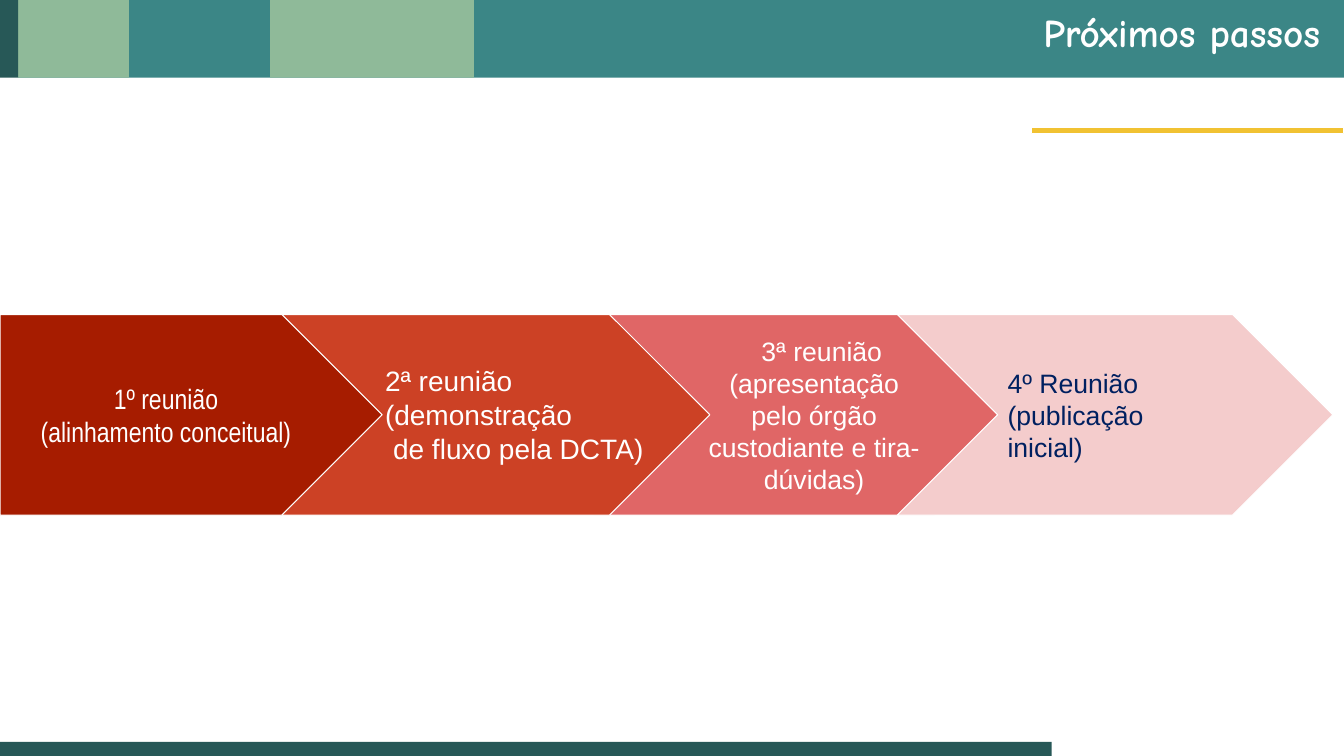
"""Builds the "Próximos passos" slide with a four-step meeting arrow."""
from pptx import Presentation
from pptx import util as u
from pptx.dml.color import RGBColor
from pptx.enum import shapes, text

COLORS = {
    "teal": "3B8686", "green": "8FBA99", "dark": "275857", "yellow": "F1C232",
    "step1": "A61C00", "step2": "CC4125", "step3": "E06666", "step4": "F4CCCC",
    "white": "FFFFFF", "navy": "002060",
}
SHAPE = shapes.MSO_SHAPE
ALIGN = text.PP_ALIGN
ANCHOR = text.MSO_ANCHOR
STEP_TOP, STEP_HEIGHT = 3.12, 1.99


class Deck:
    def __init__(self, width, height):
        self.prs = Presentation()
        self.prs.slide_width = u.Inches(width)
        self.prs.slide_height = u.Inches(height)
        self.s = self.prs.slides.add_slide(self.prs.slide_layouts[6])

    def color(self, name):
        return RGBColor.from_string(COLORS[name])

    def shape(self, kind, box, fill, outlined=False):
        sp = self.s.shapes.add_shape(kind, *map(u.Inches, box))
        sp.shadow.inherit = False
        sp.fill.solid()
        sp.fill.fore_color.rgb = self.color(fill)
        if outlined:
            sp.line.color.rgb = self.color("white")
            sp.line.width = u.Pt(0.75)
        else:
            sp.line.fill.background()
        return sp

    def step(self, kind, left, width, fill):
        sp = self.shape(kind, (left, STEP_TOP, width, STEP_HEIGHT), fill, True)
        sp.adjustments[0] = 0.5
        return sp

    def textbox(self, box):
        return self.s.shapes.add_textbox(*map(u.Inches, box))

    def label(self, sp, lines, size, font="Arial", color="white", align=ALIGN.LEFT,
              anchor=ANCHOR.MIDDLE, inset=0.1, bold=False, spacing=None, indents=()):
        tf = sp.text_frame
        tf.word_wrap = True
        tf.vertical_anchor = anchor
        tf.margin_left = tf.margin_right = u.Inches(0.1)
        tf.margin_top = tf.margin_bottom = u.Inches(inset)
        tf.text = "\n".join(lines)
        for p in tf.paragraphs:
            p.alignment = align
            p.line_spacing = spacing
            for r in p.runs:
                r.font.name = font
                r.font.size = u.Pt(size)
                r.font.bold = bold
                r.font.color.rgb = self.color(color)
        for p, (left, first) in zip(tf.paragraphs, indents):
            pPr = p._p.get_or_add_pPr()
            pPr.set("marL", str(u.Inches(left)))
            pPr.set("indent", str(u.Inches(first)))


def main():
    d = Deck(13.33, 7.5)

    for left, width, fill in [(0.18, 13.15, "teal"), (0.18, 1.1, "green"),
                              (0, 0.18, "dark"), (2.68, 2.02, "green")]:
        d.shape(SHAPE.RECTANGLE, (left, 0, width, 0.77), fill)
    d.shape(SHAPE.RECTANGLE, (0, 7.36, 10.43, 0.14), "dark")
    d.label(d.textbox((4.92, 0, 8.27, 0.6)), ["Próximos passos"], 28, "Comic Neue",
            align=ALIGN.RIGHT, anchor=ANCHOR.BOTTOM, inset=0.05, bold=True, spacing=0.9)
    d.shape(SHAPE.RECTANGLE, (10.23, 1.27, 3.1, 0.06), "yellow", True)

    sp = d.step(SHAPE.CHEVRON, 5.89, 4.37, "step3")
    d.label(sp, ["3ª reunião (apresentação pelo órgão custodiante e tira-dúvidas)"], 19,
            align=ALIGN.CENTER, indents=[(0, 0.15)])

    d.step(SHAPE.CHEVRON, 2.79, 4.25, "step2")

    sp = d.step(SHAPE.PENTAGON, 0, 3.79, "step1")
    d.label(sp, ["1º reunião", "(alinhamento conceitual)"], 20, "Arial Narrow",
            align=ALIGN.CENTER)

    sp = d.textbox((3.22, 3.51, 3.71, 1.21))
    d.label(sp, ["2ª reunião (demonstração", "de fluxo pela DCTA)"], 20,
            anchor=ANCHOR.TOP, indents=[(0.5, 0), (0.5, 0.08)])

    sp = d.step(SHAPE.CHEVRON, 8.9, 4.32, "step4")
    d.label(sp, ["4º Reunião (publicação inicial)"], 19, color="navy")

    d.prs.save("out.pptx")


if __name__ == "__main__":
    main()
